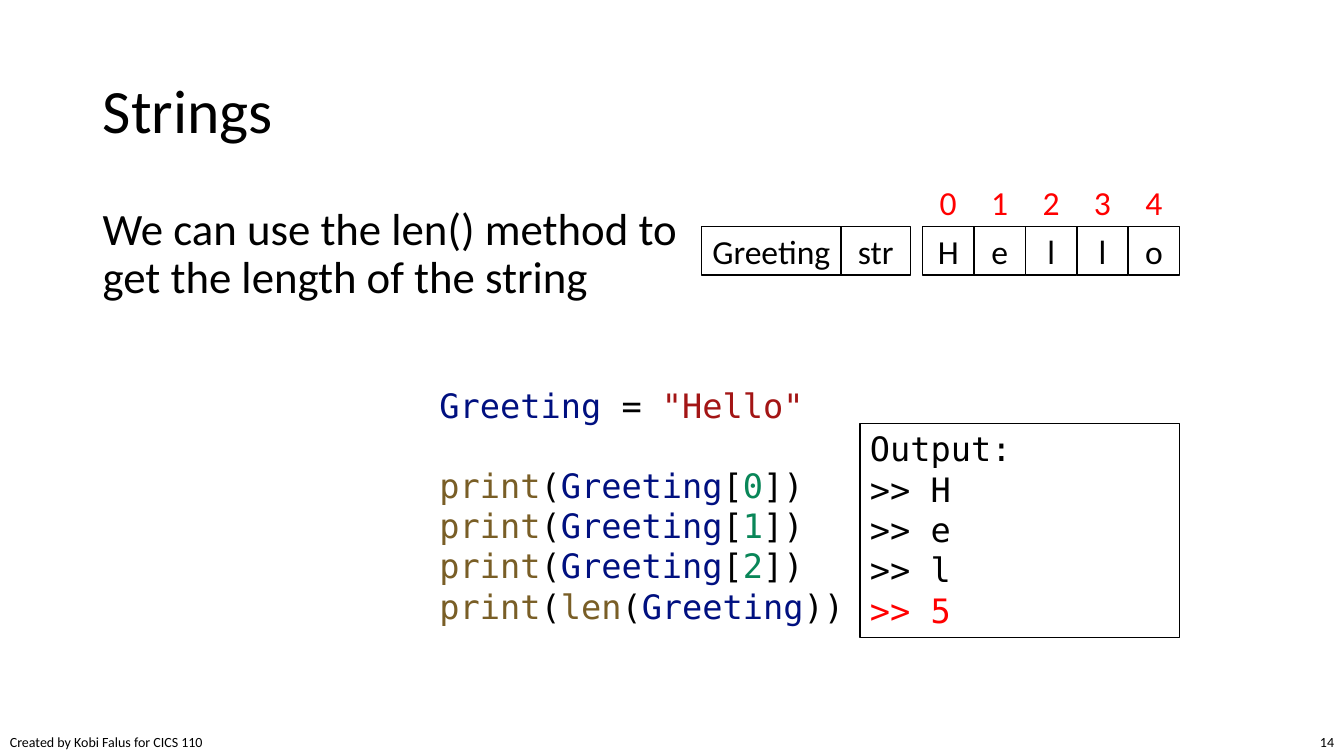
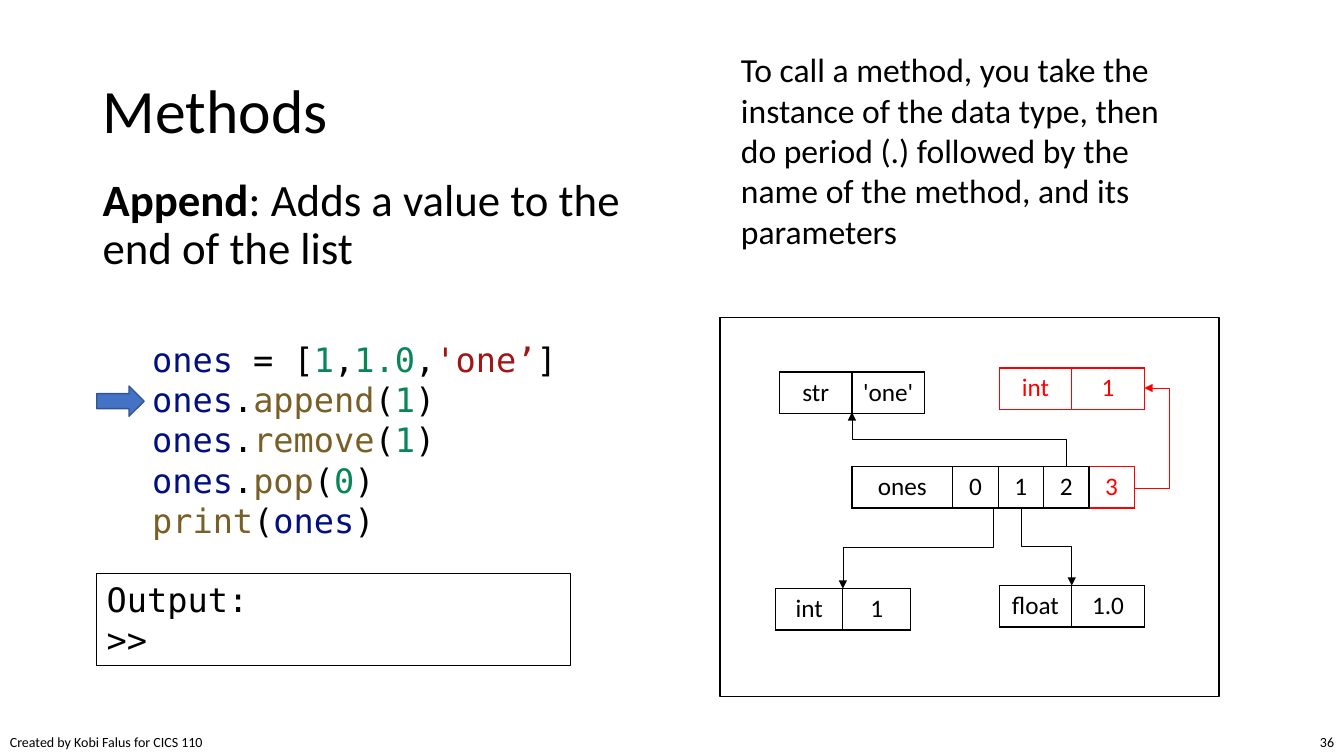
"""Builds two programming lecture slides: string length and list methods."""
from lxml import etree
from pptx import Presentation
from pptx.dml.color import RGBColor
from pptx.enum.shapes import MSO_CONNECTOR as CONN, MSO_SHAPE as SHAPE
from pptx.enum.text import MSO_ANCHOR as ANCHOR, MSO_AUTO_SIZE as AUTO, PP_ALIGN as ALIGN
from pptx.oxml.ns import qn
from pptx.util import Emu, Pt

BLACK = RGBColor(0, 0, 0)
WHITE = RGBColor(255, 255, 255)
RED = RGBColor(255, 0, 0)
NAME = RGBColor(0x00, 0x10, 0x80)
CALL = RGBColor(0x79, 0x5E, 0x26)
NUMBER = RGBColor(0x09, 0x86, 0x58)
STRING = RGBColor(0xA3, 0x15, 0x15)
BLUE = RGBColor(0x44, 0x72, 0xC4)
DARK_BLUE = RGBColor(0x32, 0x54, 0x91)
SANS, MONO = "Calibri", "DejaVu Sans Mono"
TITLE_BOX = (92, 40, 1150, 145)
CELL_H = 41


def px(n):
    """Turn px, 100 to the inch, into EMU."""
    return Emu(round(n * 9144))


def write(tf, lines, size, font=SANS, color=BLACK, **fmt):
    """Fill a text frame; a line is a string or a list of (text, colour, bold) runs."""
    tf.word_wrap = True
    tf.auto_size = AUTO.NONE
    for i, line in enumerate(lines):
        p = tf.paragraphs[0] if i == 0 else tf.add_paragraph()
        for name, value in {"alignment": ALIGN.LEFT, **fmt}.items():
            setattr(p, name, value)
        for text, rgb, *bold in [(line, color)] if isinstance(line, str) else line:
            r = p.add_run()
            r.text = text
            r.font.color.rgb = rgb
            for name, value in {"name": font, "size": Pt(size), "bold": bool(bold)}.items():
                setattr(r.font, name, value)


def add_text(slide, box, lines, size, **fmt):
    """Add a text box and return its text frame."""
    tf = slide.shapes.add_textbox(*map(px, box)).text_frame
    write(tf, lines, size, **fmt)
    return tf


def add_box(slide, box, fill=WHITE, line=BLACK, width=1, kind=SHAPE.RECTANGLE):
    """Add a flat shape, without fill or line where that is None."""
    sp = slide.shapes.add_shape(kind, *map(px, box))
    sp.shadow.inherit = False
    for part, rgb in ((sp.fill, fill), (sp.line.fill, line)):
        if rgb is None:
            part.background()
        else:
            part.solid()
            part.fore_color.rgb = rgb
    if line is not None:
        sp.line.width = Pt(width)
    return sp


def add_label(slide, box, text, color=BLACK, line=BLACK):
    """Add a white rectangle with centred text."""
    tf = add_box(slide, box, line=line).text_frame
    tf.vertical_anchor = ANCHOR.MIDDLE
    write(tf, [text], 24, color=color, alignment=ALIGN.CENTER)


def add_output(slide, box, lines):
    """Add the framed program output."""
    tf = add_box(slide, box, fill=None, width=0.75).text_frame
    tf.vertical_anchor = ANCHOR.TOP
    write(tf, ["Output:", *lines], 24, font=MONO)


def add_cells(slide, x, y, widths, texts, colors):
    """Add a one-row table whose cells carry their own text and border colour."""
    frame = slide.shapes.add_table(1, len(texts), px(x), px(y), px(sum(widths)), px(CELL_H))
    table = frame.table
    table.first_row = table.horz_banding = False
    table.rows[0].height = px(CELL_H)
    for i, (width, text, color) in enumerate(zip(widths, texts, colors)):
        table.columns[i].width = px(width)
        cell = table.cell(0, i)
        cell.fill.solid()
        cell.fill.fore_color.rgb = WHITE
        write(cell.text_frame, [text], 18, color=color, alignment=ALIGN.CENTER)
        left = colors[max(i - 1, 0)]
        edges = (("a:lnL", left), ("a:lnR", color), ("a:lnT", color), ("a:lnB", color))
        for place, (tag, rgb) in enumerate(edges):
            ln = etree.Element(qn(tag), w=str(Pt(1)))
            etree.SubElement(etree.SubElement(ln, qn("a:solidFill")), qn("a:srgbClr"), val=str(rgb))
            cell._tc.get_or_add_tcPr().insert(place, ln)


def add_elbow(slide, start, end, color=BLACK, bend=None):
    """Add a bent arrow that leaves vertically, or sideways when bend (of 100000) is given."""
    (x1, y1), (x2, y2) = start, end
    dx, dy = x2 - x1, y2 - y1
    turn = 1 if dx < 0 < dy else -1
    a, b = (turn * dy, -turn * dx) if bend is None else (dx, dy)
    mx, my = (x1 + x2) / 2, (y1 + y2) / 2
    ends = mx - a / 2, my - b / 2, mx + a / 2, my + b / 2
    c = slide.shapes.add_connector(CONN.ELBOW, *map(px, ends))
    c.line.color.rgb = color
    c.line.width = Pt(0.5)
    sp_pr = c._element.spPr
    if bend is None:
        sp_pr.xfrm.set("rot", str(turn * 90 % 360 * 60000))
    else:
        guides = sp_pr.find(qn("a:prstGeom")).find(qn("a:avLst"))
        etree.SubElement(guides, qn("a:gd"), name="adj1", fmla=f"val {bend}")
    etree.SubElement(c.line._get_or_add_ln(), qn("a:tailEnd"), type="triangle")
    etree.SubElement(sp_pr, qn("a:effectLst"))


def add_slide(prs, title, number):
    """Add a title-only slide with its footer and number."""
    slide = prs.slides.add_slide(prs.slide_layouts[5])
    add_text(slide, (0, 723, 220, 27), ["Created by Kobi Falus for CICS 110"], 10)
    add_text(slide, (1278, 723, 55, 27), [str(number)], 10, alignment=ALIGN.RIGHT)
    sp = slide.shapes.title
    for name, value in zip(("left", "top", "width", "height"), TITLE_BOX):
        setattr(sp, name, px(value))
    sp.text_frame.vertical_anchor = ANCHOR.MIDDLE
    write(sp.text_frame, [title], 44, line_spacing=0.9)
    return slide


def add_strings_slide(prs):
    """Show a string's characters, their indexes and its length."""
    slide = add_slide(prs, "Strings", 14)
    add_text(slide, (92, 200, 604, 212),
             ["We can use the len() method to get the length of the string"], 32, line_spacing=0.9)
    top, height, step = 225, 48, 51
    add_label(slide, (696, top, 138, height), "Greeting")
    add_label(slide, (834, top, 69, height), "str")
    for i, letter in enumerate("Hello"):
        x = 915 + i * step
        add_label(slide, (x, top, step, height), letter)
        add_label(slide, (x, top - height - 1, step, height), str(i), RED, None)
    greeting = ("Greeting", NAME)
    opening = [("print", CALL), ("(", BLACK)]
    lines = [[greeting, (" = ", BLACK), ('"Hello"', STRING)]]
    lines += [[*opening, greeting, ("[", BLACK), (str(i), NUMBER), ("])", BLACK)] for i in range(3)]
    lines.append([*opening, ("len", CALL), ("(", BLACK), greeting, ("))", BLACK)])
    tf = add_text(slide, (426, 377, 441, 252), lines, 24, font=MONO)
    tf.paragraphs[1].space_before = Pt(28)
    add_output(slide, (853, 420, 317, 212), [">> H", ">> e", ">> l", [(">> 5", RED)]])


def add_methods_slide(prs):
    """Show what append does to a list."""
    slide = add_slide(prs, "Methods", 36)
    add_box(slide, (714, 315, 495, 376))
    add_elbow(slide, (985, 503), (836, 584))
    add_elbow(slide, (1013, 504), (1063, 581))
    add_elbow(slide, (1058, 463), (845, 409))
    ones, comma = ("ones", NAME), (",", BLACK)
    lines = [[ones, (" = [", BLACK), ("1", NUMBER), comma, ("1.0", NUMBER), comma,
              ("'one’", STRING), ("]", BLACK)]]
    lines += [[ones, (".", BLACK), (method, CALL), ("(", BLACK), (arg, NUMBER), (")", BLACK)]
              for method, arg in (("append", "1"), ("remove", "1"), ("pop", "0"))]
    lines.append([("print", CALL), ("(", BLACK), ones, (")", BLACK)])
    add_text(slide, (141, 331, 445, 212), lines, 24, font=MONO)
    add_output(slide, (96, 569, 470, 91), [">>"])
    add_cells(slide, 845, 463, [100] + [45] * 4, ["ones", *"0123"], [BLACK] * 4 + [RED])
    add_box(slide, (96, 383, 47, 30), BLUE, DARK_BLUE, kind=SHAPE.RIGHT_ARROW)
    add_text(slide, (725, 44, 475, 212),
             ["To call a method, you take the instance of the data type, then do period (.) "
              "followed by the name of the method, and its parameters"], 24)
    add_elbow(slide, (1125, 485), (1135, 385), RED, bend=350000)
    for x, y, width, texts, color in (
        (991, 365, 72, ("int", "1"), RED),
        (769, 584, 67, ("int", "1"), BLACK),
        (991, 581, 72, ("float", "1.0"), BLACK),
        (773, 369, 72, ("str", "'one'"), BLACK),
    ):
        add_cells(slide, x, y, [width] * 2, texts, [color] * 2)
    add_text(slide, (92, 171, 604, 476),
             [[("Append", BLACK, True), (": Adds a value to the end of the list", BLACK)]],
             32, line_spacing=0.9)


def main():
    """Build and save the presentation."""
    prs = Presentation()
    prs.slide_width, prs.slide_height = px(1333), px(750)
    add_strings_slide(prs)
    add_methods_slide(prs)
    prs.save("out.pptx")


if __name__ == "__main__":
    main()
